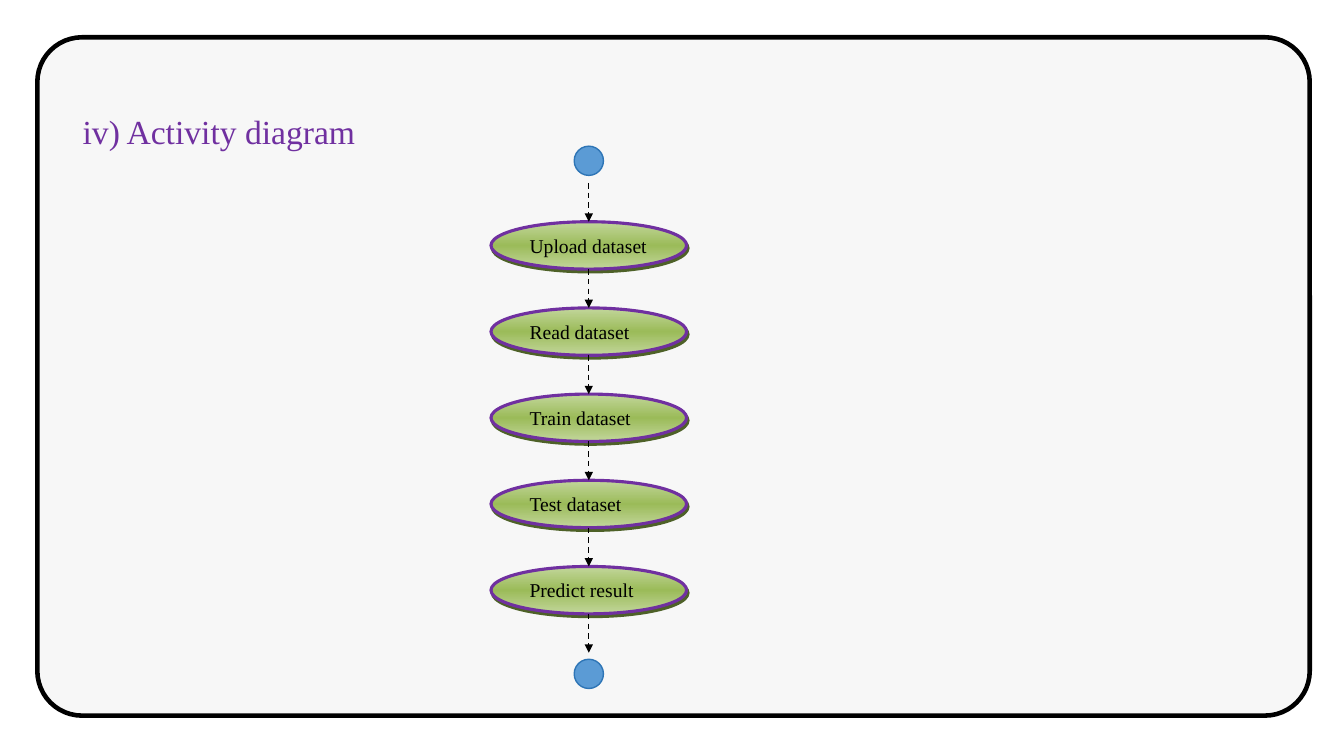
import copy
from dataclasses import dataclass

import pptx
import pptx.dml.color
import pptx.enum.dml
import pptx.enum.shapes
import pptx.enum.text
import pptx.oxml
import pptx.oxml.ns
import pptx.util

Inches = pptx.util.Inches
qn = pptx.oxml.ns.qn
SHAPE = pptx.enum.shapes.MSO_SHAPE
FONT = "Times New Roman"
CENTER_X = 5.84
NODE_W, NODE_H = 1.94, 0.47
DOT = 0.29
FIRST_TOP, STEP = 2.2, 0.855
GAP = STEP - NODE_H
GRADIENT = [(0, "C2D69B"), (0.5, "9BBB59"), (1, "C2D69B")]


@dataclass
class Activity:
    label: str
    top: float


LABELS = ["Upload dataset", "Read dataset", "Train dataset", "Test dataset", "Predict result"]
ACTIVITIES = [Activity(label, FIRST_TOP + i * STEP) for i, label in enumerate(LABELS)]


def rgb(value: str) -> pptx.dml.color.RGBColor:
    return pptx.dml.color.RGBColor.from_string(value)


def set_line(line, color: str, width: float) -> None:
    line.color.rgb = rgb(color)
    line.width = pptx.util.Pt(width)


def write(tf, text: str, size: float, color: str) -> None:
    """Put one left-aligned, vertically centred run into a text frame."""
    for name, value in {"word_wrap": True,
                        "vertical_anchor": pptx.enum.text.MSO_ANCHOR.MIDDLE}.items():
        setattr(tf, name, value)
    p = tf.paragraphs[0]
    p.alignment = pptx.enum.text.PP_ALIGN.LEFT
    r = p.add_run()
    r.text = text
    for name, value in {"name": FONT, "size": pptx.util.Pt(size)}.items():
        setattr(r.font, name, value)
    r.font.color.rgb = rgb(color)


def add_outlined(s, kind, left: float, top: float, width: float, height: float,
                 line: str, line_width: float):
    sp = s.shapes.add_shape(kind, Inches(left), Inches(top), Inches(width), Inches(height))
    sp.shadow.inherit = False
    set_line(sp.line, line, line_width)
    return sp


def fill_solid(sp, color: str) -> None:
    sp.fill.solid()
    sp.fill.fore_color.rgb = rgb(color)


def fill_gradient(sp) -> None:
    sp.fill.gradient()
    sp.fill.gradient_angle = 90
    stops = sp._element.spPr.find(".//" + qn("a:gsLst"))
    stops.append(copy.deepcopy(stops[0]))
    for stop, (position, color) in zip(sp.fill.gradient_stops, GRADIENT):
        stop.position = position
        stop.color.rgb = rgb(color)


def add_hard_shadow(sp) -> None:
    sp._element.spPr.find(qn("a:effectLst")).append(pptx.oxml.parse_xml(
        f'<a:outerShdw {pptx.oxml.ns.nsdecls("a")} dist="28400" dir="3780000" '
        'algn="ctr" rotWithShape="0"><a:srgbClr val="4E6128"/></a:outerShdw>'))


def add_dot(s, top: float) -> None:
    """Draw a start or end marker."""
    sp = add_outlined(s, SHAPE.OVAL, CENTER_X - DOT / 2, top, DOT, DOT, "2E75B6", 1)
    fill_solid(sp, "5B9BD5")


def add_activity(s, activity: Activity):
    sp = add_outlined(s, SHAPE.OVAL, CENTER_X - NODE_W / 2, activity.top,
                      NODE_W, NODE_H, "7030A0", 2.25)
    fill_gradient(sp)
    add_hard_shadow(sp)
    write(sp.text_frame, activity.label, 14, "000000")
    return sp


def add_arrow(s, top: float):
    """Draw a dashed arrow down across one gap."""
    cx = s.shapes.add_connector(pptx.enum.shapes.MSO_CONNECTOR.STRAIGHT, Inches(CENTER_X),
                                Inches(top), Inches(CENTER_X), Inches(top + GAP))
    set_line(cx.line, "000000", 1)
    cx.line.dash_style = pptx.enum.dml.MSO_LINE.DASH
    pptx.oxml.ns  # namespace map used by qn
    tail = cx.line._get_or_add_ln().makeelement(qn("a:tailEnd"), {"type": "triangle"})
    cx.line._get_or_add_ln().append(tail)
    spPr = cx._element.spPr
    spPr.append(spPr.makeelement(qn("a:effectLst"), {}))
    return cx


def main() -> None:
    prs = pptx.Presentation()
    prs.slide_width, prs.slide_height = Inches(13.33), Inches(7.5)
    s = prs.slides.add_slide(prs.slide_layouts[5])

    frame = add_outlined(s, SHAPE.ROUNDED_RECTANGLE, 0.37, 0.37, 12.62, 6.73, "000000", 3.25)
    frame.adjustments[0] = 0.066
    fill_solid(frame, "F7F7F7")

    title = s.shapes.title
    frame._element.addnext(title._element)
    for name, value in {"left": 0.72, "top": 1.05, "width": 3.33, "height": 0.5}.items():
        setattr(title, name, Inches(value))
    write(title.text_frame, "iv) Activity diagram", 24, "7030A0")

    add_dot(s, 1.45)
    for activity in ACTIVITIES:
        node = add_activity(s, activity)
        add_arrow(s, activity.top - GAP).end_connect(node, 0)
    add_arrow(s, ACTIVITIES[-1].top + NODE_H)
    add_dot(s, 6.54)
    prs.save("out.pptx")


if __name__ == "__main__":
    main()
